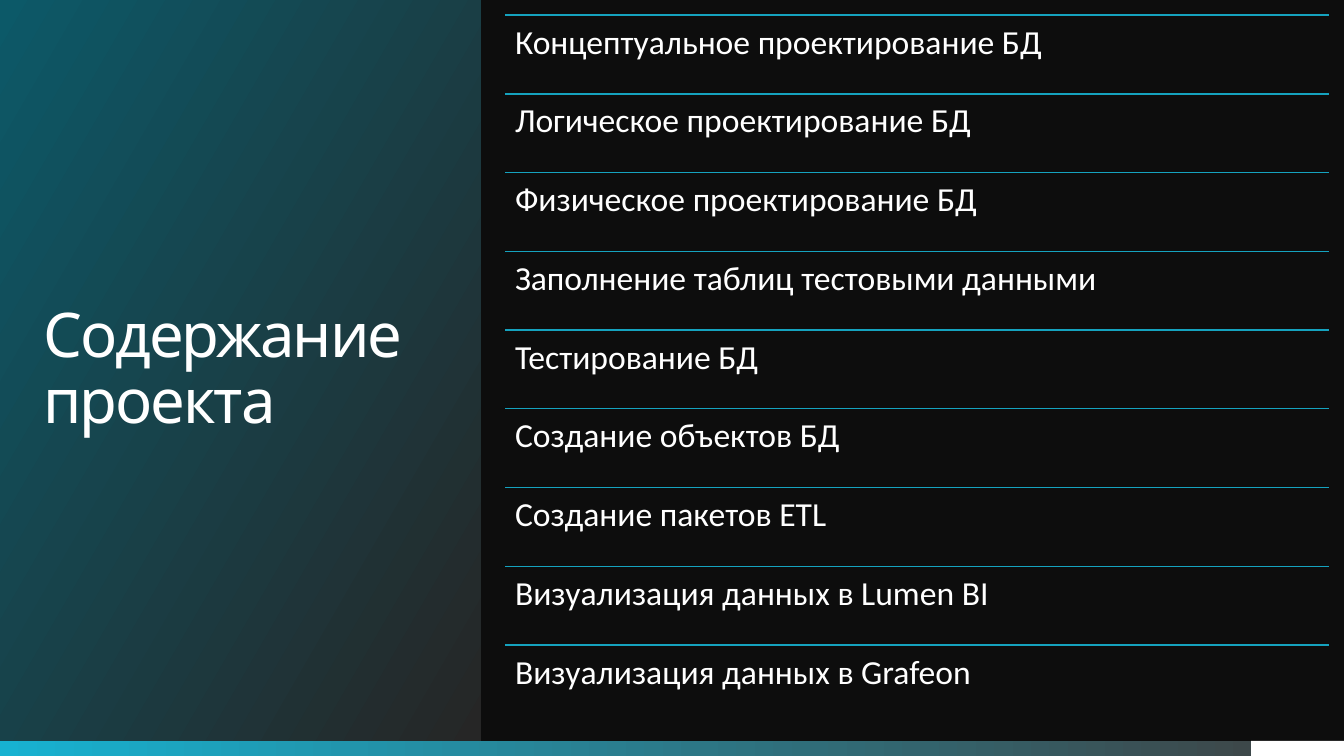
import pptx
import pptx.util
import pptx.dml.color
import pptx.enum.shapes
import pptx.enum.text
import pptx.oxml.ns
import lxml.etree

TITLE = "Содержание проекта"
TOPICS = [
    "Концептуальное проектирование БД",
    "Логическое проектирование БД",
    "Физическое проектирование БД",
    "Заполнение таблиц тестовыми данными",
    "Тестирование БД",
    "Создание объектов БД",
    "Создание пакетов ETL",
    "Визуализация данных в Lumen BI",
    "Визуализация данных в Grafeon",
]
COLOURS = {
    "background": "0D0D0D", "text": "FFFFFF", "rule": "15A2BE",
    "bar_start": "17B2D1", "bar_end": "404040",
    "panel_start": "262626", "panel_end": "0C5968",
}

WIDTH, HEIGHT = 13.33, 7.5
BAR_HEIGHT = HEIGHT * 0.02
BAR_TOP = HEIGHT - BAR_HEIGHT
CORNER_WIDTH = 0.92
PANEL_WIDTH = 4.77
LIST_LEFT, LIST_RIGHT = 5.01, 13.18
LIST_TOP, LIST_BOTTOM = 0.15, 7.18
ROW_HEIGHT = (LIST_BOTTOM - LIST_TOP) / len(TOPICS)

inches = pptx.util.Inches


def colour(name):
    return pptx.dml.color.RGBColor.from_string(COLOURS[name])


def add_rectangle(slide, left, top, width, height, fill, angle=0):
    """Fill with one colour name, or with a (start, end) pair as a gradient."""
    shape = slide.shapes.add_shape(
        pptx.enum.shapes.MSO_SHAPE.RECTANGLE,
        inches(left), inches(top), inches(width), inches(height))
    shape.shadow.inherit = False
    shape.line.fill.background()
    if isinstance(fill, str):
        shape.fill.solid()
        shape.fill.fore_color.rgb = colour(fill)
    else:
        shape.fill.gradient()
        shape.fill.gradient_angle = angle
        for stop, name, position in zip(shape.fill.gradient_stops, fill, (0, 1)):
            stop.color.rgb = colour(name)
            stop.position = position
    return shape


def write_text(shape, text, *, font, size, anchor, align, margins, spacing=0):
    frame = shape.text_frame
    frame.word_wrap = True
    frame.vertical_anchor = anchor
    frame.margin_left = frame.margin_right = inches(margins[0])
    frame.margin_top = frame.margin_bottom = inches(margins[1])
    paragraph = frame.paragraphs[0]
    paragraph.alignment = align
    paragraph.line_spacing = 0.9
    run = paragraph.add_run()
    run.text = text
    run.font.name = font
    run.font.size = pptx.util.Pt(size)
    run.font.color.rgb = colour("text")
    if spacing:
        run.font._element.set("spc", str(round(spacing * 100)))


def add_rule(slide, top):
    rule = slide.shapes.add_connector(
        pptx.enum.shapes.MSO_CONNECTOR.STRAIGHT,
        inches(LIST_LEFT), inches(top), inches(LIST_RIGHT), inches(top))
    rule.line.color.rgb = colour("rule")
    rule.line.width = pptx.util.Pt(1)
    lxml.etree.SubElement(rule._element.spPr, pptx.oxml.ns.qn("a:effectLst"))


def main():
    anchors = pptx.enum.text.MSO_ANCHOR
    aligns = pptx.enum.text.PP_ALIGN
    presentation = pptx.Presentation()
    presentation.slide_width = inches(WIDTH)
    presentation.slide_height = inches(HEIGHT)
    slide = presentation.slides.add_slide(presentation.slide_layouts[6])
    slide.background.fill.solid()
    slide.background.fill.fore_color.rgb = colour("background")

    add_rectangle(slide, 0, BAR_TOP, WIDTH, BAR_HEIGHT, ("bar_start", "bar_end"))
    add_rectangle(slide, WIDTH - CORNER_WIDTH, BAR_TOP, CORNER_WIDTH, BAR_HEIGHT, "text")
    panel = add_rectangle(slide, 0, 0, PANEL_WIDTH, BAR_TOP,
                          ("panel_start", "panel_end"), angle=150)
    write_text(panel, TITLE, font="Cabin", size=44, anchor=anchors.MIDDLE,
               align=aligns.JUSTIFY, margins=(0.43, 0), spacing=-1.5)

    for row, topic in enumerate(TOPICS):
        top = LIST_TOP + row * ROW_HEIGHT
        add_rule(slide, top)
        box = slide.shapes.add_textbox(
            inches(LIST_LEFT), inches(top),
            inches(LIST_RIGHT - LIST_LEFT), inches(ROW_HEIGHT))
        write_text(box, topic, font="Calibri", size=24, anchor=anchors.TOP,
                   align=aligns.LEFT, margins=(0.1, 0.1))

    presentation.save("out.pptx")


if __name__ == "__main__":
    main()
